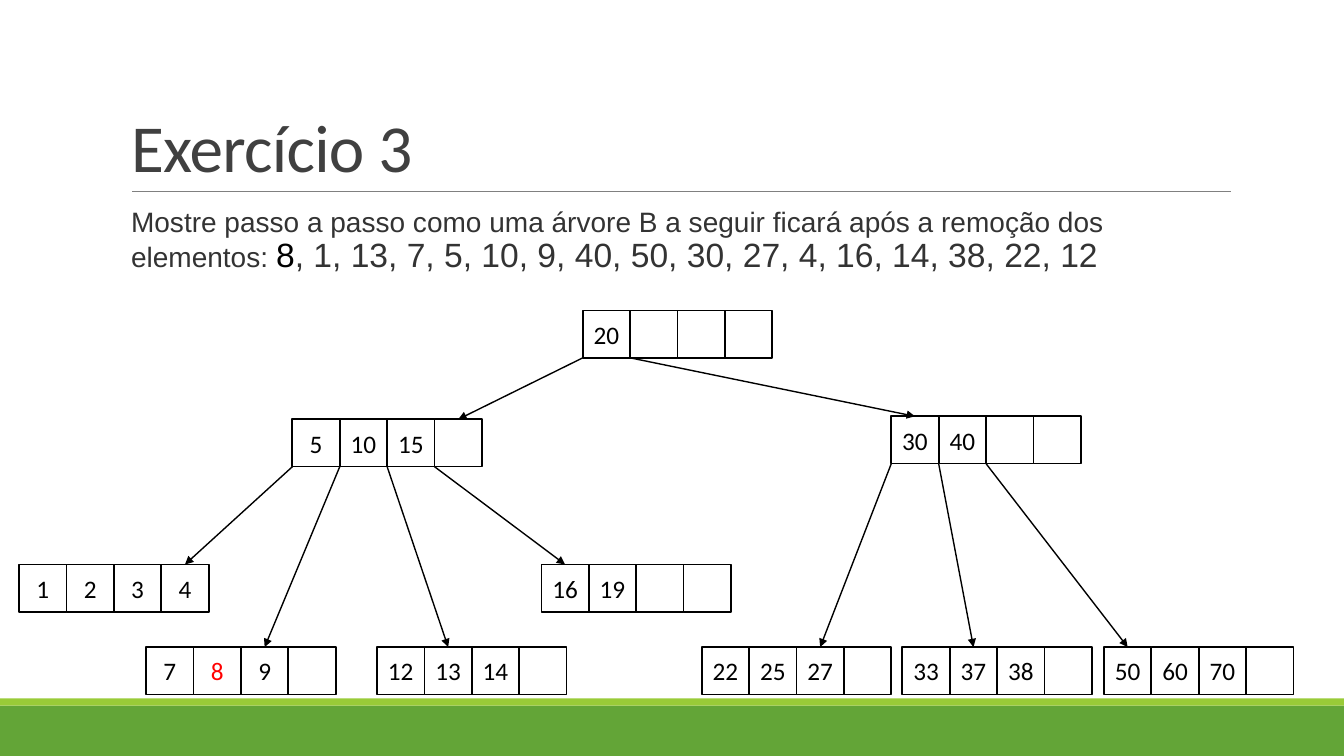
from lxml import etree
from pptx import Presentation
from pptx.dml.color import RGBColor
from pptx.enum.shapes import MSO_CONNECTOR, MSO_SHAPE
from pptx.enum.text import MSO_ANCHOR, MSO_AUTO_SIZE, PP_ALIGN
from pptx.oxml.ns import qn
from pptx.util import Inches, Pt

RECTANGLE = MSO_SHAPE.RECTANGLE
STRAIGHT = MSO_CONNECTOR.STRAIGHT
MIDDLE, BOTTOM = MSO_ANCHOR.MIDDLE, MSO_ANCHOR.BOTTOM
CENTER, LEFT = PP_ALIGN.CENTER, PP_ALIGN.LEFT

COLORS = {
    "green": "63A537",
    "lime": "99CB38",
    "rule": "808080",
    "title": "404040",
    "body": "333333",
    "black": "000000",
    "white": "FFFFFF",
    "red": "FF0000",
}
CELL = 0.47
SLOTS = 4


def add_run(paragraph, text, font_name, size, color):
    run = paragraph.add_run()
    run.text = text
    run.font.name = font_name
    run.font.size = Pt(size)
    run.font.color.rgb = RGBColor.from_string(COLORS[color])
    return run


def add_line(shapes, start, end, color, width):
    x1, y1, x2, y2 = [Inches(value) for value in (*start, *end)]
    line = shapes.add_connector(STRAIGHT, x1, y1, x2, y2)
    line.line.color.rgb = RGBColor.from_string(COLORS[color])
    line.line.width = Pt(width)
    etree.SubElement(line._element.spPr, qn("a:effectLst"))
    return line


presentation = Presentation()
presentation.slide_width = Inches(13.33)
presentation.slide_height = Inches(7.5)
slide = presentation.slides.add_slide(presentation.slide_layouts[5])
shapes = slide.shapes

for top, height, color in [(7, 0.5, "green"), (6.93, 0.07, "lime")]:
    band = shapes.add_shape(RECTANGLE, 0, Inches(top), Inches(13.33), Inches(height))
    band.shadow.inherit = False
    band.fill.solid()
    band.fill.fore_color.rgb = RGBColor.from_string(COLORS[color])
    band.line.fill.background()

add_line(shapes, (1.31, 1.9), (12.21, 1.9), "rule", 0.5)

title = shapes.title
title.left, title.top = Inches(1.2), Inches(0.31)
title.width, title.height = Inches(11), Inches(1.59)
title.text_frame.auto_size = MSO_AUTO_SIZE.NONE
title.text_frame.vertical_anchor = BOTTOM
paragraph = title.text_frame.paragraphs[0]
paragraph.alignment = LEFT
paragraph.line_spacing = 0.85
run = add_run(paragraph, "Exercício 3", "Calibri", 48, "title")
run.font._element.set("spc", "-50")

body = shapes.add_textbox(Inches(1.3), Inches(2.02), Inches(10.9), Inches(0.8))
body.text_frame.word_wrap = True
body.text_frame.margin_left = body.text_frame.margin_right = 0
paragraph = body.text_frame.paragraphs[0]
paragraph.line_spacing = 0.9
for text, size, color in [
    ("Mostre passo a passo como uma árvore B a seguir ficará após a remoção dos elementos: ", 20, "body"),
    ("8", 24, "black"),
    (", 1, 13, 7, 5, 10, 9, 40, 50, 30, 27, 4, 16, 14, 38, 22, 12", 24, "body"),
]:
    add_run(paragraph, text, "Arial", size, color)

nodes = {
    "root": (5.78, 3.08, [20]),
    "right": (8.84, 4.13, [30, 40]),
    "left": (2.9, 4.16, [5, 10, 15]),
    "leaf 1": (0.19, 5.6, [1, 2, 3, 4]),
    "leaf 7": (1.45, 6.42, [7, 8, 9]),
    "leaf 12": (3.74, 6.42, [12, 13, 14]),
    "leaf 16": (5.37, 5.6, [16, 19]),
    "leaf 22": (6.96, 6.42, [22, 25, 27]),
    "leaf 33": (8.95, 6.42, [33, 37, 38]),
    "leaf 50": (10.95, 6.42, [50, 60, 70]),
}
for left, top, keys in nodes.values():
    node = shapes.add_group_shape()
    for slot in range(SLOTS):
        cell = node.shapes.add_shape(
            RECTANGLE, Inches(left + slot * CELL), Inches(top), Inches(CELL), Inches(CELL)
        )
        cell.shadow.inherit = False
        cell.fill.solid()
        cell.fill.fore_color.rgb = RGBColor.from_string(COLORS["white"])
        cell.line.color.rgb = RGBColor.from_string(COLORS["black"])
        cell.line.width = Pt(1.25)
        if slot < len(keys):
            frame = cell.text_frame
            frame.margin_left = frame.margin_right = 0
            frame.vertical_anchor = MIDDLE
            paragraph = frame.paragraphs[0]
            paragraph.alignment = CENTER
            color = "red" if keys[slot] == 8 else "black"
            add_run(paragraph, str(keys[slot]), "Calibri", 18, color)

children = {
    "root": [("left", 3), ("right", 0)],
    "left": [("leaf 1", 3), ("leaf 7", 2), ("leaf 12", 1), ("leaf 16", 0)],
    "right": [("leaf 22", 2), ("leaf 33", 1), ("leaf 50", 0)],
}
for parent, links in children.items():
    parent_left, parent_top, _ = nodes[parent]
    for position, (child, target_slot) in enumerate(links):
        child_left, child_top, _ = nodes[child]
        start = (parent_left + position * CELL, parent_top + CELL)
        end = (child_left + (target_slot + 0.5) * CELL, child_top)
        arrow = add_line(shapes, start, end, "black", 1)
        etree.SubElement(arrow.line._get_or_add_ln(), qn("a:tailEnd"), type="triangle")

presentation.save("out.pptx")
